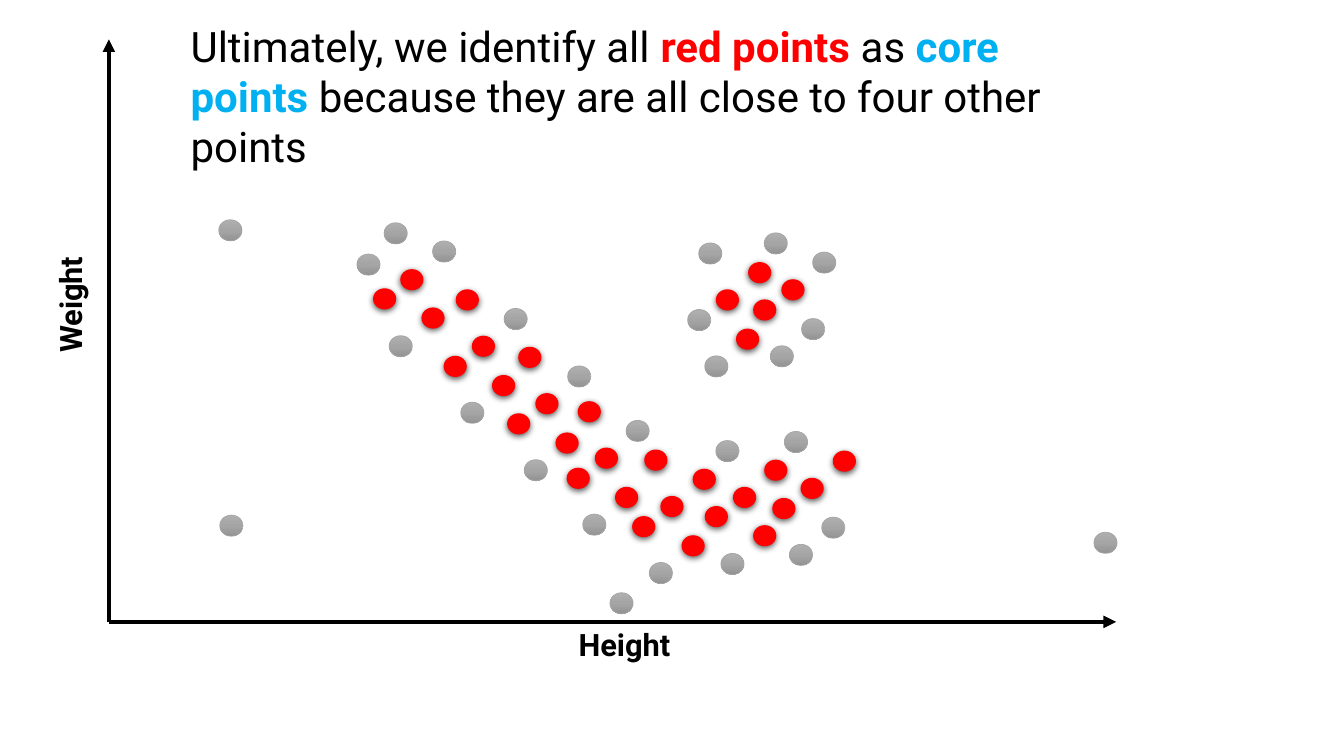
from copy import deepcopy

from pptx import Presentation
from pptx.dml.color import RGBColor
from pptx.enum.shapes import MSO_CONNECTOR, MSO_SHAPE
from pptx.enum.text import MSO_ANCHOR, MSO_AUTO_SIZE, PP_ALIGN
from pptx.oxml import parse_xml
from pptx.oxml.ns import nsdecls
from pptx.util import Inches, Pt


def color(value):
    return RGBColor.from_string(value)


def add_run(paragraph, text, size, value, bold):
    run = paragraph.add_run()
    run.text = text
    run.font.name = "Roboto"
    run.font.size = Pt(size)
    run.font.bold = bold
    run.font.color.rgb = color(value)


BLACK, RED, BLUE, GRAY = "000000", "FF0000", "00B0F0", "A5A5A5"
GRADIENT = [(0, "AFAFAF"), (0.5, GRAY), (1, "939393")]
POINT_WIDTH, POINT_HEIGHT = 0.23, 0.21
ORIGIN = (1.08, 6.17)
AXIS_ENDS = [(11.07, 6.17), (1.08, 0.39)]

CORE_POINTS = [
    (3.97, 2.67), (3.7, 2.86), (4.18, 3.05), (4.52, 2.87), (4.68, 3.33),
    (4.4, 3.53), (4.88, 3.72), (5.14, 3.44), (5.31, 3.9), (5.03, 4.1),
    (5.51, 4.29), (5.73, 3.98), (5.9, 4.44), (5.62, 4.64), (6.1, 4.83),
    (6.39, 4.46), (6.55, 4.92), (6.87, 4.65), (6.27, 5.12), (6.76, 5.31),
    (7.27, 4.83), (7.58, 4.56), (6.99, 5.02), (7.47, 5.21), (7.94, 4.74),
    (8.26, 4.47), (7.66, 4.94),
    (7.1, 2.87), (7.42, 2.6), (7.3, 3.26), (7.75, 2.77), (7.47, 2.97),
]
OTHER_POINTS = [
    (3.81, 2.21), (4.29, 2.39), (3.86, 3.33), (5, 3.06), (4.57, 3.99),
    (5.63, 3.63), (5.2, 4.56), (6.21, 4.17), (5.78, 5.1), (6.44, 5.58),
    (7.1, 4.37), (7.15, 5.49), (7.78, 4.28), (7.83, 5.4), (8.15, 5.13),
    (6.93, 2.41), (6.82, 3.07), (6.99, 3.53), (7.58, 2.31), (8.06, 2.5),
    (7.64, 3.43), (7.95, 3.16), (3.54, 2.52), (6.05, 5.88),
    (2.17, 2.18), (2.18, 5.11), (10.85, 5.28),
]
TITLE_RUNS = [
    ("Ultimately, we identify all ", BLACK, False),
    ("red points ", RED, True),
    ("as ", BLACK, False),
    ("core points ", BLUE, True),
    ("because they are all close to four other points", BLACK, False),
]
AXIS_LABELS = [
    ("Height", 5.64, 6.16, 1.17, 0),
    ("Weight", 0.1, 2.77, 1.19, 270),
]

presentation = Presentation()
presentation.slide_width = Inches(13.33)
presentation.slide_height = Inches(7.5)
slide = presentation.slides.add_slide(presentation.slide_layouts[5])

title = slide.shapes.title
title.left, title.top = Inches(1.79), Inches(0.15)
title.width, title.height = Inches(9.28), Inches(1.6)
title.text_frame.word_wrap = True
title.text_frame.auto_size = MSO_AUTO_SIZE.NONE
title.text_frame.vertical_anchor = MSO_ANCHOR.TOP
title_paragraph = title.text_frame.paragraphs[0]
title_paragraph.alignment = PP_ALIGN.LEFT
for text, value, bold in TITLE_RUNS:
    add_run(title_paragraph, text, 30, value, bold)

for end in AXIS_ENDS:
    axis = slide.shapes.add_connector(
        MSO_CONNECTOR.STRAIGHT, *[Inches(length) for length in ORIGIN + end])
    axis.line.width = Pt(3)
    axis.line.color.rgb = color(BLACK)
    axis.line._get_or_add_ln().append(
        parse_xml(f'<a:tailEnd {nsdecls("a")} type="triangle"/>'))
    axis._element.spPr.append(parse_xml(f'<a:effectLst {nsdecls("a")}/>'))

for points, is_core in [(OTHER_POINTS, False), (CORE_POINTS, True)]:
    for left, top in points:
        point = slide.shapes.add_shape(
            MSO_SHAPE.OVAL, Inches(left), Inches(top),
            Inches(POINT_WIDTH), Inches(POINT_HEIGHT))
        if is_core:
            point.fill.solid()
            point.fill.fore_color.rgb = color(RED)
            point.line.fill.background()
            point._element.spPr.append(parse_xml(
                f'<a:effectLst {nsdecls("a")}>'
                '<a:outerShdw blurRad="57150" dist="19050" dir="5400000" '
                'algn="ctr" rotWithShape="0"><a:srgbClr val="000000">'
                '<a:alpha val="63000"/></a:srgbClr></a:outerShdw>'
                '</a:effectLst>'))
        else:
            point.fill.gradient()
            point.fill.gradient_angle = 270
            stop_list = point._element.xpath(".//a:gsLst")[0]
            stop_list.insert(1, deepcopy(stop_list[0]))
            for stop, (position, value) in zip(point.fill.gradient_stops, GRADIENT):
                stop.position = position
                stop.color.rgb = color(value)
            point.line.color.rgb = color(GRAY)
            point.line.width = Pt(0.5)
            point.shadow.inherit = False

for text, left, top, width, rotation in AXIS_LABELS:
    label = slide.shapes.add_textbox(
        Inches(left), Inches(top), Inches(width), Inches(0.47))
    label.rotation = rotation
    label.text_frame.auto_size = MSO_AUTO_SIZE.SHAPE_TO_FIT_TEXT
    label.text_frame.word_wrap = False
    add_run(label.text_frame.paragraphs[0], text, 22, BLACK, True)

presentation.save("out.pptx")
